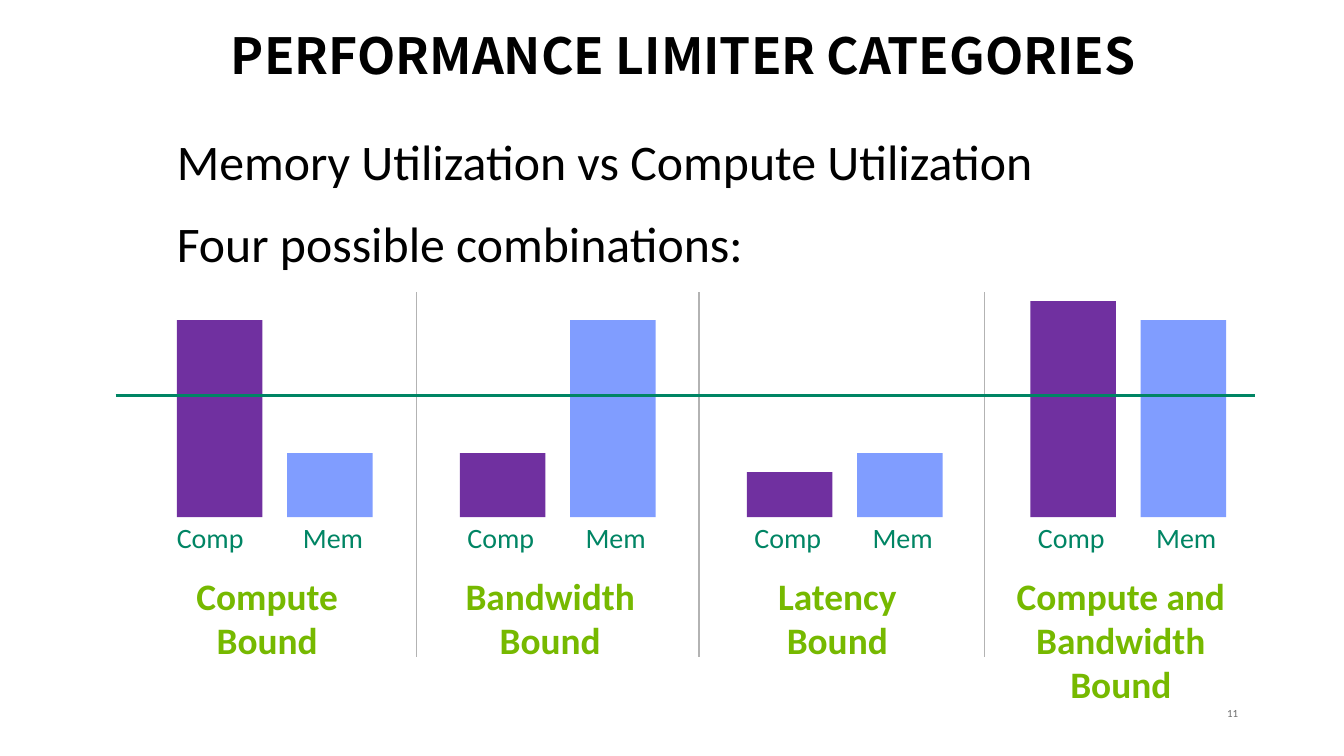
import enum
from dataclasses import dataclass

import pptx
import pptx.dml.color
import pptx.enum.shapes
import pptx.enum.text
import pptx.oxml.ns
import pptx.util
from lxml import etree

Cm, Pt = pptx.util.Cm, pptx.util.Pt
ALIGN = pptx.enum.text.PP_ALIGN
qn = pptx.oxml.ns.qn


class Theme(enum.Enum):
    """Text styles: font, size, colour, bold."""
    TITLE = ("Noto Sans CJK SC", 32, "000000", True)
    BODY = ("Calibri", 32, "000000", False)
    LABEL = ("Calibri", 18, "008564", False)
    NAME = ("Calibri", 24, "76B900", True)
    NUMBER = ("Calibri", 7, "6E6E6E", False)


COMPUTE, MEMORY, THRESHOLD, DIVIDER = "7030A0", "809DFF", "008564", "B3B3B3"
BAR_W, BAR_PITCH = 1.94, 2.5


@dataclass
class Category:
    name: str
    left: float
    comp: float
    mem: float
    label_shift: float = 0.17
    label_tab: float = 2.68


CATEGORIES = [
    Category("Compute\vBound", 4.01, 4.47, 1.45, 0, 2.86),
    Category("Bandwidth\vBound", 10.43, 1.45, 4.47),
    Category("Latency\vBound", 16.94, 1.02, 1.45),
    Category("Compute and\vBandwidth\vBound", 23.37, 4.9, 4.47),
]


def rgb(value):
    return pptx.dml.color.RGBColor.from_string(value)


def add_text(s, box, text, style, align=ALIGN.LEFT, spacing=None, tab=None):
    """Add a text box without margins; box is left, top, width, height in cm."""
    font, size, color, bold = style.value
    tf = s.shapes.add_textbox(*map(Cm, box)).text_frame
    tf.word_wrap = True
    tf.margin_left = tf.margin_top = tf.margin_right = tf.margin_bottom = 0
    tf.text = text
    for p in tf.paragraphs:
        p.alignment = align
        p.line_spacing = spacing
        if tab:
            tabs = etree.SubElement(p._p.get_or_add_pPr(), qn("a:tabLst"))
            etree.SubElement(tabs, qn("a:tab"), pos=str(Cm(tab)), algn="l")
        for r in p.runs:
            r.font.name, r.font.size, r.font.bold = font, Pt(size), bold
            r.font.color.rgb = rgb(color)
    return tf


def add_bar(s, left, base, height, color):
    sp = s.shapes.add_shape(pptx.enum.shapes.MSO_SHAPE.RECTANGLE,
                            Cm(left), Cm(base - height), Cm(BAR_W), Cm(height))
    sp.shadow.inherit = False
    sp.fill.solid()
    sp.fill.fore_color.rgb = rgb(color)
    sp.line.fill.background()


def add_line(s, x1, y1, x2, y2, color, width):
    line = s.shapes.add_connector(pptx.enum.shapes.MSO_CONNECTOR.STRAIGHT,
                                  Cm(x1), Cm(y1), Cm(x2), Cm(y2))
    line.line.color.rgb = rgb(color)
    line.line.width = Pt(width)
    etree.SubElement(line._element.spPr, qn("a:effectLst"))


def add_header(s, left, top, width):
    tf = add_text(s, (left, top, width, 1.4), "PERFORMANCE LIMITER CATEGORIES",
                  Theme.TITLE, ALIGN.CENTER)
    tf.vertical_anchor = pptx.enum.text.MSO_ANCHOR.MIDDLE
    add_text(s, (left + 1.14, top + 1.93, 21.44, 3.6),
             "Memory Utilization vs Compute Utilization\nFour possible combinations:",
             Theme.BODY, spacing=1.37)


def add_category(s, category, base):
    """Two bars standing on base, with their labels and the name below."""
    left = category.left
    add_bar(s, left, base, category.comp, COMPUTE)
    add_bar(s, left + BAR_PITCH, base, category.mem, MEMORY)
    add_text(s, (left + category.label_shift, base + 0.08, 4.6, 0.8),
             "Comp\tMem", Theme.LABEL, tab=category.label_tab)
    lines = category.name.count("\v") + 1
    add_text(s, (left - 0.6, base + 1.27, 5.3, lines), category.name,
             Theme.NAME, ALIGN.CENTER, Pt(28.5))


def add_comparison(s, left, top, width):
    for category in CATEGORIES:
        add_category(s, category, top + 5.1)
    for x in (9.45, 15.85, 22.33):
        add_line(s, x, top, x, top + 8.26, DIVIDER, 1)
    add_line(s, left, top + 2.34, left + width, top + 2.34, THRESHOLD, 1.5)


def main():
    prs = pptx.Presentation()
    prs.slide_width, prs.slide_height = Cm(30.48), Cm(17.145)
    s = prs.slides.add_slide(prs.slide_layouts[6])
    add_header(s, 2.87, 0.53, 25.27)
    add_comparison(s, 2.62, 6.63, 25.85)
    add_text(s, (26.9, 16.03, 1.18, 0.3), "11", Theme.NUMBER, ALIGN.RIGHT, Pt(8.3))
    prs.save("out.pptx")


if __name__ == "__main__":
    main()
